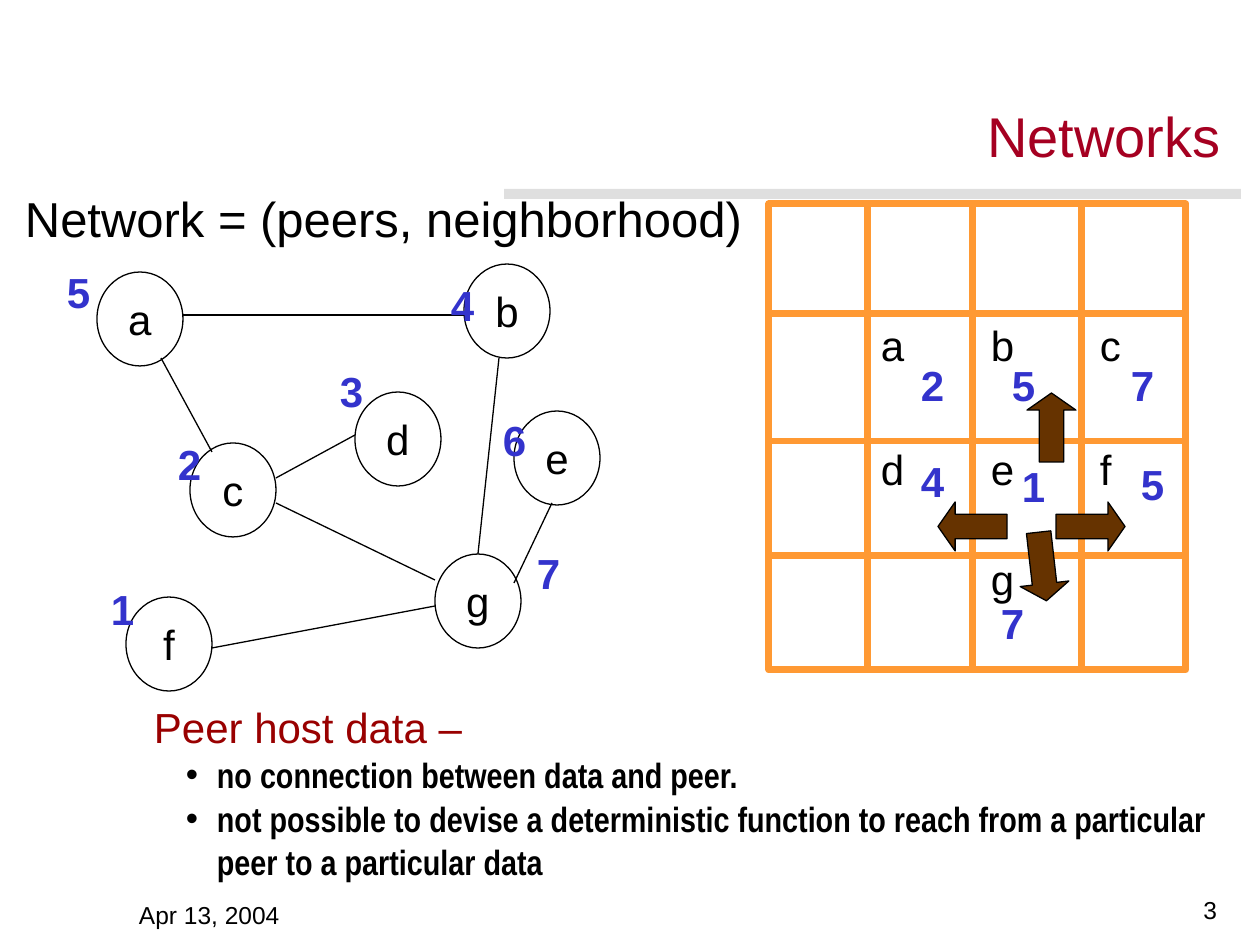
from lxml.etree import SubElement
from pptx import Presentation
from pptx.dml.color import RGBColor
from pptx.enum.shapes import MSO_CONNECTOR, MSO_SHAPE as SHAPE
from pptx.enum.text import MSO_ANCHOR as ANCHOR, PP_ALIGN as ALIGN
from pptx.oxml.ns import qn
from pptx.util import Emu, Pt

PX = 914400 / 126
BLACK, WHITE, BLUE, ORANGE = "000000", "FFFFFF", "3333CC", "FF9933"
CRIMSON, DARK_RED, BROWN, SILVER = "A50021", "990000", "663300", "C0C0C0"

TITLE = "Networks"
DEFINITION = "Network = (peers, neighborhood)"
HEADING = "Peer host data –"
BULLETS = [
    "no connection between data and peer.",
    "not possible to devise a deterministic function to reach from a "
    "particular peer to a particular data",
]
DATE, NUMBER = "Apr 13, 2004", "3"

NODE_SIZE = (86, 94)
NODES = {"a": (97, 272), "c": (190, 443), "b": (464, 264), "f": (126, 597),
         "g": (435, 554), "d": (355, 392), "e": (514, 411)}
EDGES = [(161, 358, 212, 452), (276, 503, 435, 580), (355, 435, 276, 478),
         (212, 648, 435, 606), (183, 315, 464, 315), (499, 358, 478, 554),
         (552, 503, 514, 583)]
NODE_DATA = [("5", 54, 261), ("4", 438, 274), ("2", 165, 433), ("1", 98, 578),
             ("3", 327, 360), ("7", 524, 542), ("6", 490, 409)]

GRID_X = [769, 868, 973, 1082, 1186]
GRID_Y = [204, 314, 441, 556, 670]
PEER_X = [868, 978, 1087]
PEER_ROWS = [(314, "abc"), (438, "def"), (548, " g ")]
CELL_DATA = [("2", 908, 354), ("4", 908, 450), ("7", 1118, 354), ("5", 999, 354),
             ("7", 988, 592), ("5", 1128, 453), ("1", 1009, 455)]
ARROW_SIZE = (49, 69)
ARROWS = [(1027, 393, 0), (1066, 492, 90), (948, 492, 270), (1018, 532, 173.5)]


def px(n):
    return Emu(round(n * PX))


def rgb(value):
    return RGBColor.from_string(value)


def set_margins(tf, x=0, y=0):
    tf.margin_left = tf.margin_right = px(x)
    tf.margin_top = tf.margin_bottom = px(y)


def write(p, text, size, color, bold=False, name="Arial", spacing=None, align=ALIGN.LEFT):
    p.alignment = align
    if spacing:
        p.line_spacing = Pt(spacing)
    r = p.add_run()
    r.text = text
    r.font.name, r.font.size, r.font.bold = name, Pt(size), bold
    r.font.color.rgb = rgb(color)


def add_text_box(slide, box, inset=(0, 0)):
    tf = slide.shapes.add_textbox(*map(px, box)).text_frame
    tf.word_wrap = True
    set_margins(tf, *inset)
    return tf


def add_label(slide, text, x, y, color=BLACK, bold=False):
    tf = add_text_box(slide, (x, y, 50, 63), (13, 6))
    write(tf.paragraphs[0], text, 24, color, bold)


def add_shape(slide, kind, box, fill=None, line=None, width=0.75):
    sp = slide.shapes.add_shape(kind, *map(px, box))
    sp.shadow.inherit = False
    if fill:
        sp.fill.solid()
        sp.fill.fore_color.rgb = rgb(fill)
    else:
        sp.fill.background()
    if line:
        sp.line.color.rgb = rgb(line)
        sp.line.width = Pt(width)
    else:
        sp.line.fill.background()
    return sp


def add_line(slide, ends, color=BLACK, width=0.75):
    line = slide.shapes.add_connector(MSO_CONNECTOR.STRAIGHT, *map(px, ends))
    line.line.color.rgb = rgb(color)
    line.line.width = Pt(width)
    SubElement(line._element.spPr, qn("a:effectLst"))


def add_bullet(p):
    pPr = p._p.get_or_add_pPr()
    pPr.set("marL", str(px(63)))
    pPr.set("indent", str(-px(31)))
    color = SubElement(SubElement(pPr, qn("a:buClr")), qn("a:srgbClr"))
    color.set("val", BLACK)
    SubElement(pPr, qn("a:buFont")).set("typeface", "Arial")
    SubElement(pPr, qn("a:buChar")).set("char", "•")


def add_title(slide):
    bar = add_shape(slide, SHAPE.ROUNDED_RECTANGLE, (504, 189, 737, 10), SILVER)
    bar.adjustments[0] = 0.02
    fill_color = bar._element.spPr.find(qn("a:solidFill"))[0]
    SubElement(fill_color, qn("a:alpha")).set("val", "50000")

    title = slide.shapes.title
    title.left, title.top, title.width, title.height = map(px, (987, 111, 240, 58))
    tf = title.text_frame
    tf.word_wrap = True
    tf.vertical_anchor = ANCHOR.TOP
    set_margins(tf)
    write(tf.paragraphs[0], TITLE, 32, CRIMSON, spacing=33.2)


def add_graph(slide):
    for name, pos in NODES.items():
        node = add_shape(slide, SHAPE.OVAL, pos + NODE_SIZE, WHITE, BLACK)
        tf = node.text_frame
        tf.word_wrap = False
        tf.vertical_anchor = ANCHOR.MIDDLE
        set_margins(tf, 13, 6)
        write(tf.paragraphs[0], name, 24, BLACK, align=ALIGN.CENTER)
    for ends in EDGES:
        add_line(slide, ends)
    for value, x, y in NODE_DATA:
        add_label(slide, value, x, y, BLUE, True)


def add_grid(slide):
    left, right, top, bottom = GRID_X[0], GRID_X[-1], GRID_Y[0], GRID_Y[-1]
    add_shape(slide, SHAPE.RECTANGLE, (left, top, right - left, bottom - top),
              line=ORANGE, width=4)
    for x in GRID_X[1:-1]:
        add_line(slide, (x, top, x, bottom), ORANGE, 4)
    for y in GRID_Y[1:-1]:
        add_line(slide, (left, y, right, y), ORANGE, 4)
    for y, names in PEER_ROWS:
        for x, name in zip(PEER_X, names):
            if name != " ":
                add_label(slide, name, x, y)
    for x, y, angle in ARROWS:
        arrow = add_shape(slide, SHAPE.UP_ARROW, (x, y) + ARROW_SIZE, BROWN, BLACK)
        arrow.adjustments[0], arrow.adjustments[1] = 0.5, 0.35
        arrow.rotation = angle
    for value, x, y in CELL_DATA:
        add_label(slide, value, x, y, BLUE, True)


def add_notes_on_data(slide):
    tf = add_text_box(slide, (154, 709, 1072, 174))
    write(tf.paragraphs[0], HEADING, 24, DARK_RED, spacing=24.8)
    for text in BULLETS:
        p = tf.add_paragraph()
        p.level = 1
        add_bullet(p)
        write(p, text, 20, BLACK, True, "Arial Narrow", 24.8)


def add_footer(slide):
    for text, x, y, align in [(DATE, 126, 892, ALIGN.LEFT), (NUMBER, 968, 887, ALIGN.RIGHT)]:
        tf = add_text_box(slide, (x, y, 262, 43), (13, 6))
        tf.vertical_anchor = ANCHOR.BOTTOM
        write(tf.paragraphs[0], text, 14, BLACK, align=align)


def main():
    prs = Presentation()
    prs.slide_width, prs.slide_height = px(1260), px(945)
    slide = prs.slides.add_slide(prs.slide_layouts[5])
    add_footer(slide)
    add_title(slide)
    tf = add_text_box(slide, (25, 204, 1235, 43))
    write(tf.paragraphs[0], DEFINITION, 28, BLACK, spacing=24.8)
    add_grid(slide)
    add_graph(slide)
    add_notes_on_data(slide)
    prs.save("out.pptx")


if __name__ == "__main__":
    main()
